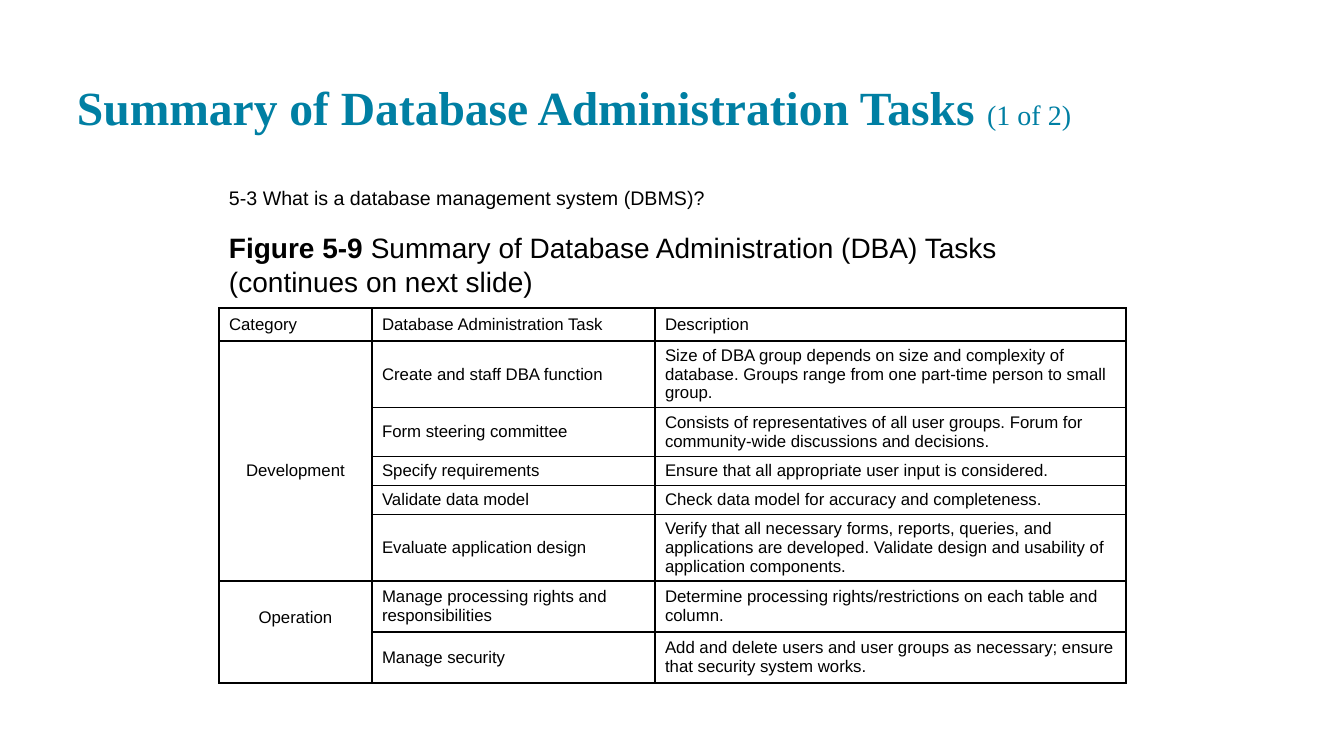
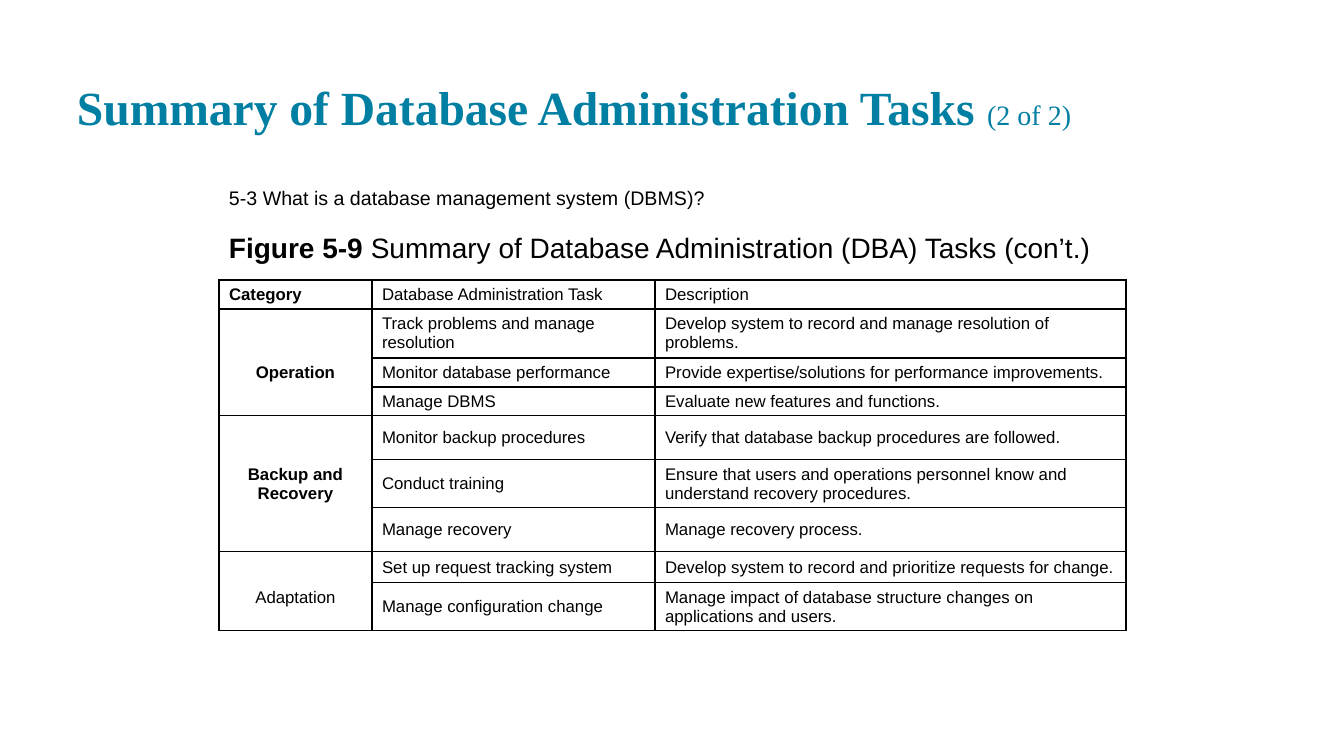
from collections import namedtuple

from lxml.etree import SubElement
from pptx import Presentation
from pptx.dml.color import RGBColor
from pptx.enum.text import MSO_ANCHOR as Anchor, MSO_AUTO_SIZE as AutoSize, PP_ALIGN as Align
from pptx.oxml.ns import qn
from pptx.util import Emu, Pt

COLORS = {"title": "007FA3", "text": "000000", "border": "000000", "cell": "FFFFFF"}
TITLE_FONT, BODY_FONT = "Times New Roman", "Arial"
CELL_SIZE, BORDER_WIDTH = 12, 1

SLIDE_SIZE = (1344, 756)
TITLE_BOX = (67, 24, 1210, 121)
CAPTION_BOX = (219, 176, 907, 92)
TABLE_LEFT = 219
COLUMNS = (153, 283, 471)
INSET = 10

TITLE = "Summary of Database Administration Tasks "
SECTION = "5-3 What is a database management system (DBMS)?"
FIGURE = "Figure 5-9"
HEADINGS = ("Category", "Database Administration Task", "Description")

# A category names its group of tasks in one row; each task is (height, name, description)
Category = namedtuple("Category", "name label_row anchor bold tasks")
Page = namedtuple("Page", "numbering figure_text table_top heading_height heading_bold categories")

PAGES = [
    Page("(1 of 2)", " Summary of Database Administration (DBA) Tasks (continues on next slide)",
         308, 33, False, [
             Category("Development", 2, Anchor.MIDDLE, False, [
                 (66, "Create and staff DBA function",
                  "Size of DBA group depends on size and complexity of database. "
                  "Groups range from one part-time person to small group."),
                 (49, "Form steering committee",
                  "Consists of representatives of all user groups. "
                  "Forum for community-wide discussions and decisions."),
                 (29, "Specify requirements",
                  "Ensure that all appropriate user input is considered."),
                 (29, "Validate data model",
                  "Check data model for accuracy and completeness."),
                 (66, "Evaluate application design",
                  "Verify that all necessary forms, reports, queries, and applications are "
                  "developed. Validate design and usability of application components."),
             ]),
             Category("Operation", 0, Anchor.BOTTOM, False, [
                 (51, "Manage processing rights and responsibilities",
                  "Determine processing rights/restrictions on each table and column."),
                 (51, "Manage security",
                  "Add and delete users and user groups as necessary; "
                  "ensure that security system works."),
             ]),
         ]),
    Page("(2 of 2)", " Summary of Database Administration (DBA) Tasks (con’t.)",
         280, 29, True, [
             Category("Operation", 1, Anchor.MIDDLE, True, [
                 (49, "Track problems and manage resolution",
                  "Develop system to record and manage resolution of problems."),
                 (29, "Monitor database performance",
                  "Provide expertise/solutions for performance improvements."),
                 (29, "Manage DBMS", "Evaluate new features and functions."),
             ]),
             Category("Backup and Recovery", 1, Anchor.MIDDLE, True, [
                 (44, "Monitor backup procedures",
                  "Verify that database backup procedures are followed."),
                 (48, "Conduct training",
                  "Ensure that users and operations personnel know and "
                  "understand recovery procedures."),
                 (44, "Manage recovery", "Manage recovery process."),
             ]),
             Category("Adaptation", 1, Anchor.TOP, False, [
                 (31, "Set up request tracking system",
                  "Develop system to record and prioritize requests for change."),
                 (48, "Manage configuration change",
                  "Manage impact of database structure changes on applications and users."),
             ]),
         ]),
]


def px(length):
    return Emu(round(length * 914400 / 100.8))


def set_font(font, name, color):
    font.name = name
    font.color.rgb = RGBColor.from_string(COLORS[color])


def add_run(paragraph, text, size, bold=False):
    run = paragraph.add_run()
    run.text = text
    run.font.size, run.font.bold = Pt(size), bold


def prepare_frame(frame, anchor):
    frame.word_wrap = True
    frame.auto_size = AutoSize.NONE
    frame.vertical_anchor = anchor
    frame.margin_left = frame.margin_right = px(INSET)
    frame.margin_top = frame.margin_bottom = px(INSET)
    return frame


def add_title(slide, box, numbering):
    title = slide.shapes.title
    title.left, title.top, title.width, title.height = map(px, box)
    line = prepare_frame(title.text_frame, Anchor.BOTTOM).paragraphs[0]
    line.alignment = Align.LEFT
    set_font(line.font, TITLE_FONT, "title")
    add_run(line, TITLE, 34, True)
    add_run(line, numbering, 20)


def add_caption(slide, box, figure_text):
    frame = prepare_frame(slide.shapes.add_textbox(*map(px, box)).text_frame, Anchor.TOP)
    section = frame.paragraphs[0]
    add_run(section, SECTION, 14)
    figure = frame.add_paragraph()
    figure.space_before = Pt(15)
    add_run(figure, FIGURE, 20, True)
    add_run(figure, figure_text, 20)
    for paragraph in frame.paragraphs:
        set_font(paragraph.font, BODY_FONT, "text")


def set_borders(cell, edges):
    """Draw the named edges and clear the others."""
    properties = cell._tc.get_or_add_tcPr()
    for edge in "LRTB":
        line = SubElement(properties, qn(f"a:ln{edge}"), w=str(Pt(BORDER_WIDTH)))
        if edge in edges:
            fill = SubElement(line, qn("a:solidFill"))
            SubElement(fill, qn("a:srgbClr"), val=COLORS["border"])
        else:
            SubElement(line, qn("a:noFill"))


def fill_cell(cell, text, bold=False, align=Align.LEFT, anchor=Anchor.MIDDLE, edges="LRTB"):
    set_borders(cell, edges)
    cell.fill.solid()
    cell.fill.fore_color.rgb = RGBColor.from_string(COLORS["cell"])
    cell.vertical_anchor = anchor
    paragraph = cell.text_frame.paragraphs[0]
    paragraph.alignment = align
    set_font(paragraph.font, BODY_FONT, "text")
    paragraph.font.size = Pt(CELL_SIZE)
    if text:
        add_run(paragraph, text, CELL_SIZE, bold)
    else:
        # Keeps an unlabelled cell from stretching its row
        SubElement(paragraph._p, qn("a:endParaRPr"), sz=str(CELL_SIZE * 100))


def add_task_table(slide, left, top, page):
    heights = [page.heading_height]
    heights += [task[0] for category in page.categories for task in category.tasks]
    table = slide.shapes.add_table(
        len(heights), len(COLUMNS), px(left), px(top), px(sum(COLUMNS)), px(sum(heights))).table
    table.first_row = table.horz_banding = False
    for column, width in zip(table.columns, COLUMNS):
        column.width = px(width)
    for row, height in zip(table.rows, heights):
        row.height = px(height)

    # Heading row
    for index, heading in enumerate(HEADINGS):
        fill_cell(table.cell(0, index), heading, bold=page.heading_bold and index == 0)

    # One open-sided category block beside its tasks
    row = 1
    for category in page.categories:
        last = len(category.tasks) - 1
        for index, (_, task, description) in enumerate(category.tasks):
            edges = "LR" + "T" * (index == 0) + "B" * (index == last)
            label = category.name if index == category.label_row else ""
            fill_cell(table.cell(row, 0), label, category.bold, Align.CENTER,
                      category.anchor, edges)
            fill_cell(table.cell(row, 1), task)
            fill_cell(table.cell(row, 2), description)
            row += 1


def add_page(deck, page):
    slide = deck.slides.add_slide(deck.slide_layouts.get_by_name("Title Only"))
    add_title(slide, TITLE_BOX, page.numbering)
    add_caption(slide, CAPTION_BOX, page.figure_text)
    add_task_table(slide, TABLE_LEFT, page.table_top, page)


def main():
    deck = Presentation()
    deck.slide_width, deck.slide_height = map(px, SLIDE_SIZE)
    for page in PAGES:
        add_page(deck, page)
    deck.save("out.pptx")


if __name__ == "__main__":
    main()
